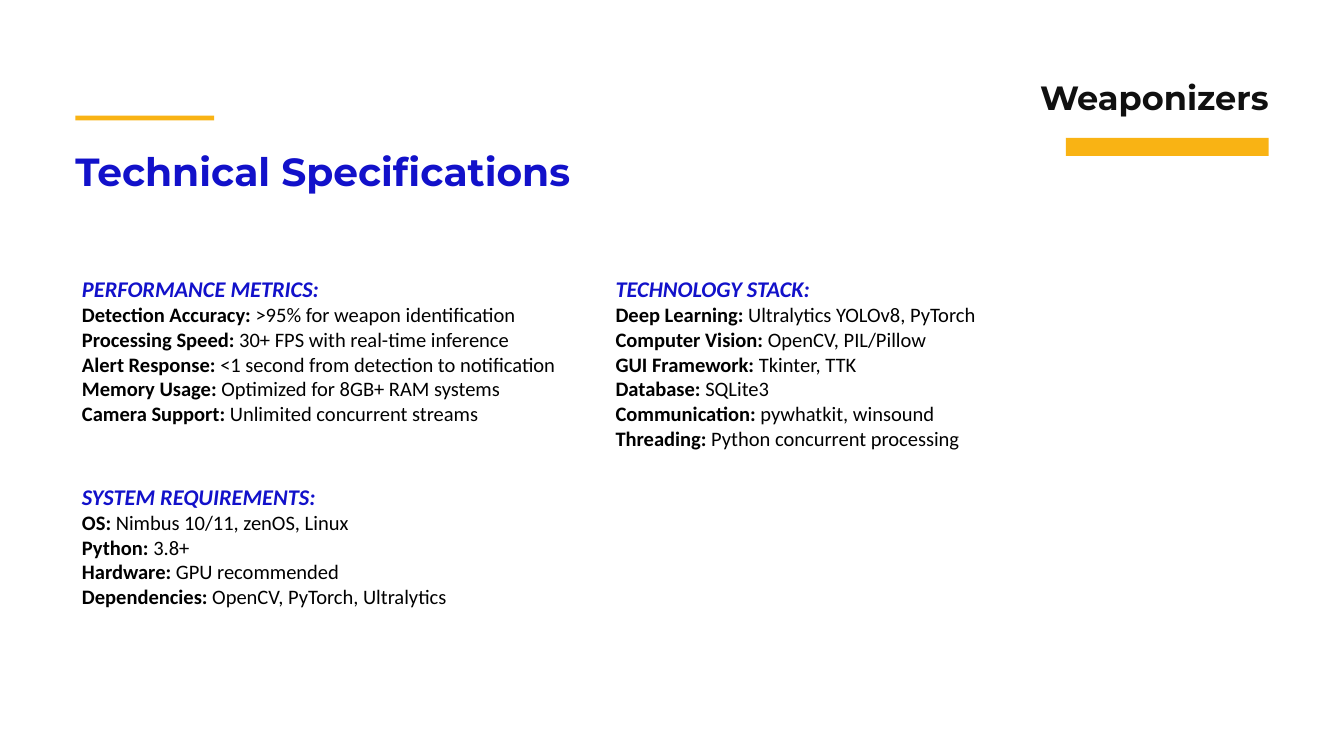
import pptx
import pptx.util
import pptx.dml.color
import pptx.enum.shapes
import pptx.enum.text
from collections import namedtuple
from dataclasses import dataclass
from lxml import etree

ALIGN = pptx.enum.text.PP_ALIGN
Box = namedtuple("Box", "left top width height")


@dataclass(frozen=True)
class Theme:
    accent: str = "F9B314"
    heading: str = "1211CA"
    brand: str = "101010"
    body: str = "000000"
    display_font: str = "Montserrat"
    text_font: str = "Calibri"
    title_size: int = 42
    brand_size: int = 36
    heading_size: int = 24
    body_size: int = 22


THEME = Theme()
SLIDE_WIDTH = pptx.util.Inches(20)
SLIDE_HEIGHT = pptx.util.Inches(11.25)
COLUMNS = ROWS = 100

PERFORMANCE = ("PERFORMANCE METRICS:", [
    ("Detection Accuracy:", ">95% for weapon identification"),
    ("Processing Speed:", "30+ FPS with real-time inference"),
    ("Alert Response:", "<1 second from detection to notification"),
    ("Memory Usage:", "Optimized for 8GB+ RAM systems"),
    ("Camera Support:", "Unlimited concurrent streams"),
])
REQUIREMENTS = ("SYSTEM REQUIREMENTS:", [
    ("OS:", "Nimbus 10/11, zenOS, Linux"),
    ("Python:", "3.8+"),
    ("Hardware:", "GPU recommended"),
    ("Dependencies:", "OpenCV, PyTorch, Ultralytics"),
])
STACK = ("TECHNOLOGY STACK:", [
    ("Deep Learning:", "Ultralytics YOLOv8, PyTorch"),
    ("Computer Vision:", "OpenCV, PIL/Pillow"),
    ("GUI Framework:", "Tkinter, TTK"),
    ("Database:", "SQLite3"),
    ("Communication:", "pywhatkit, winsound"),
    ("Threading:", "Python concurrent processing"),
])


def grid(column, row, columns, rows):
    """Box measured in slide columns and rows."""
    return Box(int(SLIDE_WIDTH * column / COLUMNS), int(SLIDE_HEIGHT * row / ROWS),
               int(SLIDE_WIDTH * columns / COLUMNS), int(SLIDE_HEIGHT * rows / ROWS))


def share(box, left, top, width, height):
    """Part of a box, given as shares of its size."""
    return Box(int(box.left + box.width * left), int(box.top + box.height * top),
               int(box.width * width), int(box.height * height))


def place(shape, box):
    shape.left, shape.top, shape.width, shape.height = box


def prepare_frame(shape, inset=None):
    frame = shape.text_frame
    frame.word_wrap = True
    frame.auto_size = pptx.enum.text.MSO_AUTO_SIZE.NONE
    frame.vertical_anchor = pptx.enum.text.MSO_ANCHOR.TOP
    if inset is not None:
        frame.margin_left = frame.margin_right = inset
        frame.margin_top = frame.margin_bottom = inset
    return frame


def write(paragraph, text, size, color, font=THEME.text_font, bold=True,
          italic=False, align=ALIGN.LEFT, line_spacing=1.0):
    paragraph.alignment = align
    paragraph.line_spacing = line_spacing
    paragraph.space_before = pptx.util.Pt(0)
    run = paragraph.add_run()
    run.text = text
    run.font.name = font
    run.font.size = pptx.util.Pt(size)
    run.font.bold = bold
    run.font.italic = italic
    run.font.color.rgb = pptx.dml.color.RGBColor.from_string(color)


def remove_bullet(paragraph):
    properties = paragraph._p.get_or_add_pPr()
    properties.set("marL", "0")
    properties.set("indent", "0")
    etree.SubElement(properties, pptx.oxml.ns.qn("a:buNone"))


def add_bar(slide, box):
    bar = slide.shapes.add_shape(pptx.enum.shapes.MSO_SHAPE.RECTANGLE, *box)
    bar.shadow.inherit = False
    bar.fill.solid()
    bar.fill.fore_color.rgb = pptx.dml.color.RGBColor.from_string(THEME.accent)
    bar.line.fill.background()


def add_title(slide, box):
    add_bar(slide, share(box, 0, 0, 0.2, 0.06))
    title = slide.shapes.title
    place(title, share(box, 0, 0.4, 1, 0.6))
    write(prepare_frame(title, inset=0).paragraphs[0], "Technical Specifications",
          THEME.title_size, THEME.heading, font=THEME.display_font)


def add_brand(slide, box):
    add_bar(slide, share(box, 0.21, 0.79, 0.79, 0.21))
    brand = slide.shapes.add_textbox(*share(box, 0, 0, 1, 0.48))
    write(prepare_frame(brand, inset=0).paragraphs[0], "Weaponizers",
          THEME.brand_size, THEME.brand, font=THEME.display_font,
          align=ALIGN.RIGHT, line_spacing=pptx.util.Pt(50.4))


def add_specifications(placeholder, box, section):
    heading, entries = section
    place(placeholder, box)
    frame = prepare_frame(placeholder)
    first = frame.paragraphs[0]
    remove_bullet(first)
    write(first, heading, THEME.heading_size, THEME.heading, italic=True)
    for label, value in entries:
        entry = frame.add_paragraph()
        remove_bullet(entry)
        write(entry, label, THEME.body_size, THEME.body)
        write(entry, " " + value, THEME.body_size, THEME.body, bold=False)


def main():
    presentation = pptx.Presentation()
    presentation.slide_width = SLIDE_WIDTH
    presentation.slide_height = SLIDE_HEIGHT
    comparison_layout = presentation.slide_layouts[4]
    slide = presentation.slides.add_slide(comparison_layout)

    # Title and brand header
    add_title(slide, grid(5.6, 15.29, 51.7, 10.49))
    add_brand(slide, grid(75.3, 9.24, 19.1, 11.38))

    # Specification lists
    lists = [
        (grid(5.6, 36, 37.7, 20.98), PERFORMANCE),
        (grid(5.6, 63.47, 31.25, 20.98), REQUIREMENTS),
        (grid(45.3, 36, 30, 27.56), STACK),
    ]
    bodies = [body for body in slide.placeholders if body.placeholder_format.idx in range(1, 5)]
    for body, (box, section) in zip(bodies, lists):
        add_specifications(body, box, section)

    # Unused body placeholder
    spare = bodies[-1].element
    spare.getparent().remove(spare)

    presentation.save("out.pptx")


if __name__ == "__main__":
    main()
